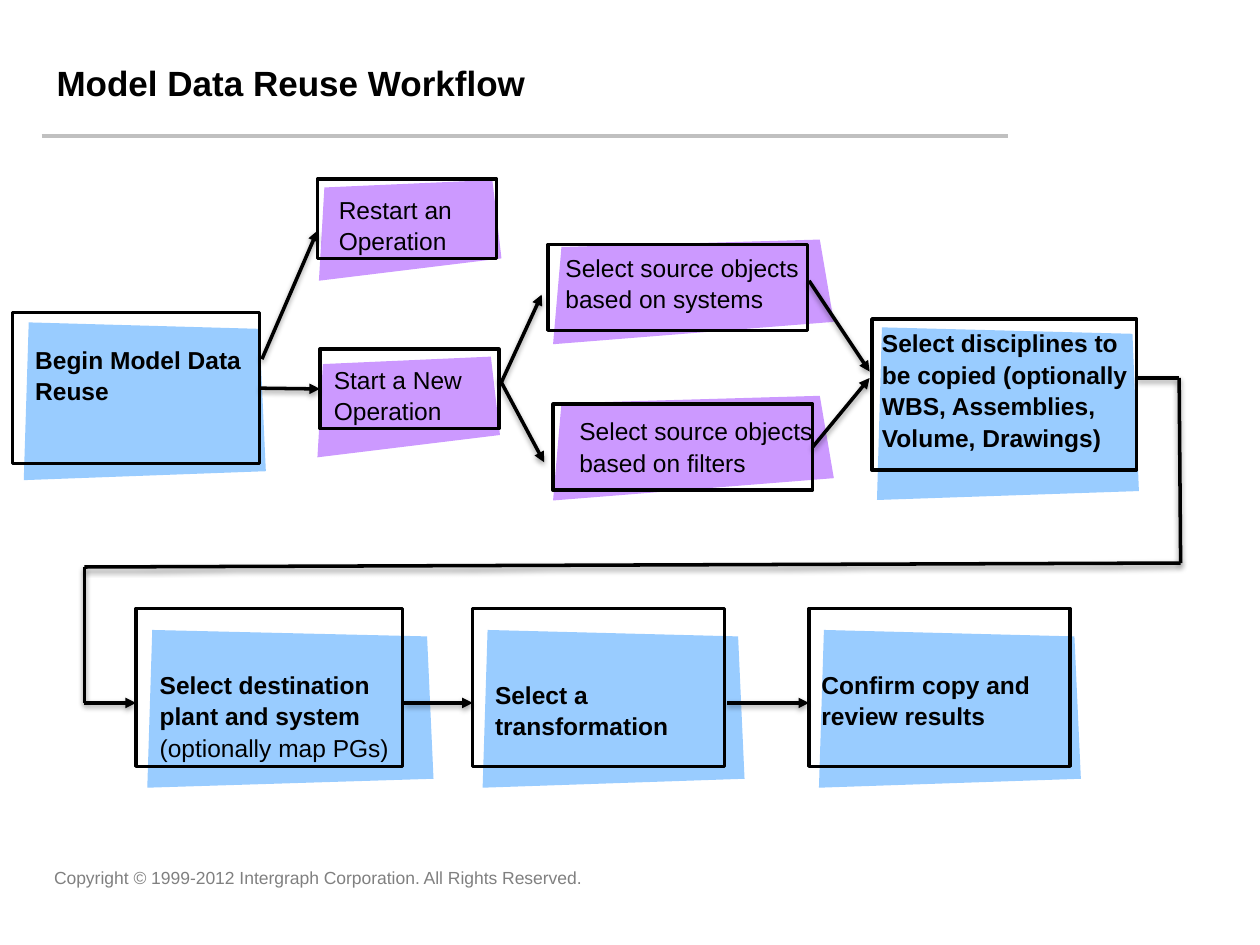
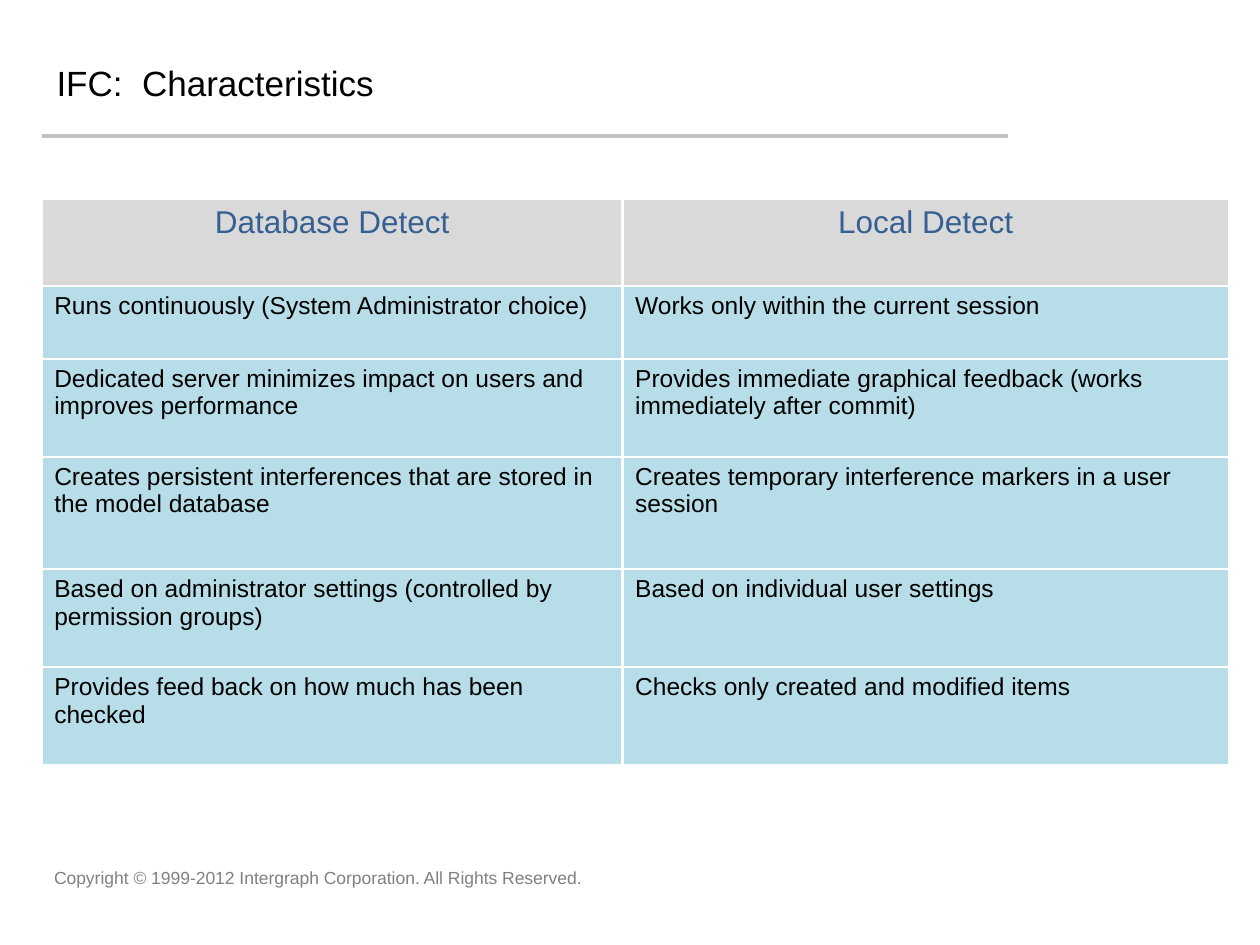
import dataclasses
import itertools
import typing

import lxml.etree
import pptx
import pptx.dml.color
import pptx.enum.shapes
import pptx.enum.text
import pptx.oxml
import pptx.oxml.ns
import pptx.util

Cm = pptx.util.Cm
Pt = pptx.util.Pt
RGBColor = pptx.dml.color.RGBColor
qn = pptx.oxml.ns.qn

BLACK = RGBColor(0x00, 0x00, 0x00)
WHITE = RGBColor(0xFF, 0xFF, 0xFF)
SILVER = RGBColor(0xC0, 0xC0, 0xC0)
GRAY = RGBColor(0x80, 0x80, 0x80)
SKY = RGBColor(0x99, 0xCC, 0xFF)
LILAC = RGBColor(0xCC, 0x99, 0xFF)
HEADER_FILL = RGBColor(0xD9, 0xD9, 0xD9)
HEADER_TEXT = RGBColor(0x37, 0x60, 0x92)
BODY_FILL = RGBColor(0xB7, 0xDE, 0xE8)

FONT = "Arial"
COPYRIGHT = "Copyright © 1999-2012 Intergraph Corporation. All Rights Reserved."
TITLE_FORMAT = {"name": FONT, "size": Pt(20)}
FOOTER_FORMAT = {"name": FONT, "size": Pt(10)}
STEP_FORMAT = {"name": FONT, "size": Pt(14)}
HEADER_FORMAT = {"name": FONT, "size": Pt(18)}

Point = tuple[float, float]


class Area(typing.NamedTuple):
    left: float
    top: float
    width: float
    height: float

    def lengths(self) -> list[pptx.util.Length]:
        return [Cm(value) for value in self]


@dataclasses.dataclass(frozen=True)
class Step:
    text: str
    frame: Area
    patch: Area
    text_area: Area
    fill: RGBColor
    note: str = ""


@dataclasses.dataclass(frozen=True)
class Arrow:
    start: Point
    end: Point
    source: str = ""
    target: str = ""


BEGIN = "Begin Model Data Reuse"
START = "Start a New Operation"
FILTERS = "Select source objects based on filters"

STEPS = [
    Step(BEGIN, Area(0.25, 6.3, 4.98, 3.05), Area(0.48, 6.5, 4.88, 3.18),
         Area(0.46, 6.78, 5.28, 1.45), SKY),
    Step("Restart an Operation", Area(6.4, 3.61, 3.61, 1.6), Area(6.43, 3.63, 3.68, 2.03),
         Area(6.58, 3.76, 4.32, 1.45), LILAC),
    Step(START, Area(6.45, 7.04, 3.61, 1.6), Area(6.4, 7.19, 3.68, 2.03),
         Area(6.48, 7.19, 4.32, 1.45), LILAC),
    Step("Select source objects based on systems", Area(11.05, 4.93, 5.23, 1.73),
         Area(11.15, 4.83, 5.66, 2.11), Area(11.15, 4.93, 5.92, 1.45), LILAC),
    Step(FILTERS, Area(11.15, 8.15, 5.23, 1.73), Area(11.15, 7.98, 5.66, 2.11),
         Area(11.43, 8.23, 5.92, 1.45), LILAC),
    Step("Select disciplines to be copied (optionally WBS, Assemblies, Volume, Drawings)",
         Area(17.58, 6.43, 5.33, 3.05), Area(17.68, 6.6, 5.28, 3.48),
         Area(17.53, 6.45, 5.87, 3.3), SKY),
    Step("Select destination plant and system", Area(2.74, 12.27, 5.38, 3.18),
         Area(2.97, 12.7, 5.77, 3.18), Area(2.97, 13.34, 5.72, 2.06), SKY,
         "(optionally map PGs)"),
    Step("Select a transformation", Area(9.53, 12.27, 5.08, 3.18),
         Area(9.73, 12.7, 5.28, 3.18), Area(9.73, 13.54, 5.28, 1.45), SKY),
    Step("Confirm copy and review results", Area(16.31, 12.27, 5.26, 3.18),
         Area(16.51, 12.7, 5.28, 3.18), Area(16.31, 13.34, 5.28, 1.45), SKY),
]

ARROWS = [
    Arrow((5.28, 7.24), (6.4, 4.65)),
    Arrow((5.23, 7.82), (6.45, 7.84), BEGIN, START),
    Arrow((10.11, 7.7), (10.92, 5.94)),
    Arrow((10.06, 7.62), (10.97, 9.32)),
    Arrow((16.31, 5.66), (17.53, 7.49)),
    Arrow((16.38, 9.02), (17.53, 7.62), FILTERS),
    Arrow((8.15, 14.17), (9.53, 14.17)),
    Arrow((14.66, 14.17), (16.31, 14.17)),
]

RETURN_PATH = [(22.91, 7.62), (23.77, 7.62), (23.8, 11.35),
               (1.7, 11.43), (1.7, 14.17), (2.74, 14.17)]

COLUMN_WIDTHS = [11.71, 12.22]
ROW_HEIGHTS = [1.75, 1.47, 1.98, 2.26, 1.98, 1.98]
DETECT_ROWS = [
    ("Database Detect", "Local Detect"),
    ("Runs continuously (System Administrator choice)",
     "Works only within the current session"),
    ("Dedicated server minimizes impact on users and improves performance",
     "Provides immediate graphical feedback (works immediately after commit)"),
    ("Creates persistent interferences that are stored in the model database",
     "Creates temporary interference markers in a user session"),
    ("Based on administrator settings (controlled by permission groups)",
     "Based on individual user settings"),
    ("Provides feed back on how much has been checked",
     "Checks only created and modified items"),
]


def add_span(para, text: str, formats: dict, color: RGBColor, bold: bool = False) -> None:
    span = para.add_run()
    span.text = text
    for name, value in {**formats, "bold": bold}.items():
        setattr(span.font, name, value)
    span.font.color.rgb = color


def add_text_box(page, area: Area, anchor=pptx.enum.text.MSO_ANCHOR.TOP):
    box = page.shapes.add_textbox(*area.lengths())
    box.text_frame.word_wrap = True
    box.text_frame.vertical_anchor = anchor
    return box.text_frame.paragraphs[0]


def add_line(page, start: Point, end: Point, color: RGBColor, width: float,
             arrow: bool = False, shadow: bool = False):
    line = page.shapes.add_connector(pptx.enum.shapes.MSO_CONNECTOR.STRAIGHT,
                                     *[Cm(value) for value in start + end])
    line.line.color.rgb = color
    line.line.width = Pt(width)
    if arrow:
        lxml.etree.SubElement(line.line._get_or_add_ln(), qn("a:tailEnd"), type="triangle")
    effects = lxml.etree.SubElement(line._element.spPr, qn("a:effectLst"))
    if shadow:
        outer = lxml.etree.SubElement(effects, qn("a:outerShdw"), blurRad="40000",
                                      dist="20000", dir="5400000", rotWithShape="0")
        tint = lxml.etree.SubElement(outer, qn("a:srgbClr"), val=str(BLACK))
        lxml.etree.SubElement(tint, qn("a:alpha"), val="38000")
    return line


def add_page(deck, title: str, bold: bool):
    page = deck.slides.add_slide(deck.slide_layouts[6])
    add_line(page, (0.84, 2.74), (20.32, 2.74), SILVER, 2.25)
    add_span(add_text_box(page, Area(0.84, 17.35, 13.77, 1.12)),
             COPYRIGHT, FOOTER_FORMAT, GRAY)
    heading = add_text_box(page, Area(0.89, 0.58, 18.95, 2.18),
                           pptx.enum.text.MSO_ANCHOR.MIDDLE)
    add_span(heading, title, TITLE_FORMAT, BLACK, bold)
    return page


def patch_corners(step: Step) -> list[Point]:
    left, top, width, height = step.patch
    right, bottom = left + width, top + height
    if step.fill == SKY:
        return [(left + 0.1, top), (left, bottom),
                (right, bottom - 0.18), (right - 0.13, top + 0.13)]
    return [(left + 0.03 * width, top + 0.15), (left, bottom),
            (right, bottom - 0.45), (right - 0.05 * width, top)]


def add_patch(page, step: Step) -> None:
    first, *others = [(Cm(x), Cm(y)) for x, y in patch_corners(step)]
    builder = page.shapes.build_freeform(*first)
    builder.add_line_segments(others, close=True)
    patch = builder.convert_to_shape()
    patch.shadow.inherit = False
    patch.fill.solid()
    patch.fill.fore_color.rgb = step.fill
    patch.line.fill.background()


def add_frame(page, step: Step):
    frame = page.shapes.add_shape(pptx.enum.shapes.MSO_SHAPE.RECTANGLE,
                                  *step.frame.lengths())
    frame.shadow.inherit = False
    frame.fill.background()
    frame.line.color.rgb = BLACK
    frame.line.width = Pt(2)
    return frame


def add_step_text(page, step: Step) -> None:
    para = add_text_box(page, step.text_area)
    para.line_spacing = 1.07
    add_span(para, step.text, STEP_FORMAT, BLACK, step.fill == SKY)
    if step.note:
        para.add_line_break()
        add_span(para, step.note, STEP_FORMAT, BLACK)


def build_workflow(deck) -> None:
    page = add_page(deck, "Model Data Reuse Workflow", True)
    for step in STEPS:
        add_patch(page, step)
    frames = {step.text: add_frame(page, step) for step in STEPS}
    for step in STEPS:
        add_step_text(page, step)
    for arrow in ARROWS:
        line = add_line(page, arrow.start, arrow.end, BLACK, 2, True, True)
        if arrow.source:
            line.begin_connect(frames[arrow.source], 3)
        if arrow.target:
            line.end_connect(frames[arrow.target], 1)
    for start, end in itertools.pairwise(RETURN_PATH):
        add_line(page, start, end, BLACK, 2, end == RETURN_PATH[-1], True)


def set_borders(cell) -> None:
    properties = cell._tc.get_or_add_tcPr()
    for index, side in enumerate(("a:lnL", "a:lnR", "a:lnT", "a:lnB")):
        border = lxml.etree.Element(qn(side), w=str(Pt(1.5)))
        fill = lxml.etree.SubElement(border, qn("a:solidFill"))
        lxml.etree.SubElement(fill, qn("a:srgbClr"), val=str(WHITE))
        properties.insert(index, border)


def fill_cell(cell, text: str, header: bool) -> None:
    cell.fill.solid()
    cell.fill.fore_color.rgb = HEADER_FILL if header else BODY_FILL
    set_borders(cell)
    para = cell.text_frame.paragraphs[0]
    if header:
        para.alignment = pptx.enum.text.PP_ALIGN.CENTER
        add_span(para, text, HEADER_FORMAT, HEADER_TEXT)
    else:
        add_span(para, text, STEP_FORMAT, BLACK)


def build_characteristics(deck) -> None:
    page = add_page(deck, "IFC:  Characteristics", False)
    area = Area(0.84, 4.01, sum(COLUMN_WIDTHS), sum(ROW_HEIGHTS))
    table = page.shapes.add_table(len(ROW_HEIGHTS), len(COLUMN_WIDTHS),
                                  *area.lengths()).table
    for column, width in zip(table.columns, COLUMN_WIDTHS):
        column.width = Cm(width)
    for index, (row, height) in enumerate(zip(table.rows, ROW_HEIGHTS)):
        row.height = Cm(height)
        for cell, text in zip(row.cells, DETECT_ROWS[index]):
            fill_cell(cell, text, index == 0)


def main() -> None:
    deck = pptx.Presentation()
    deck.slide_width = Cm(25.4)
    deck.slide_height = Cm(19.05)
    build_workflow(deck)
    build_characteristics(deck)
    deck.save("out.pptx")


if __name__ == "__main__":
    main()
